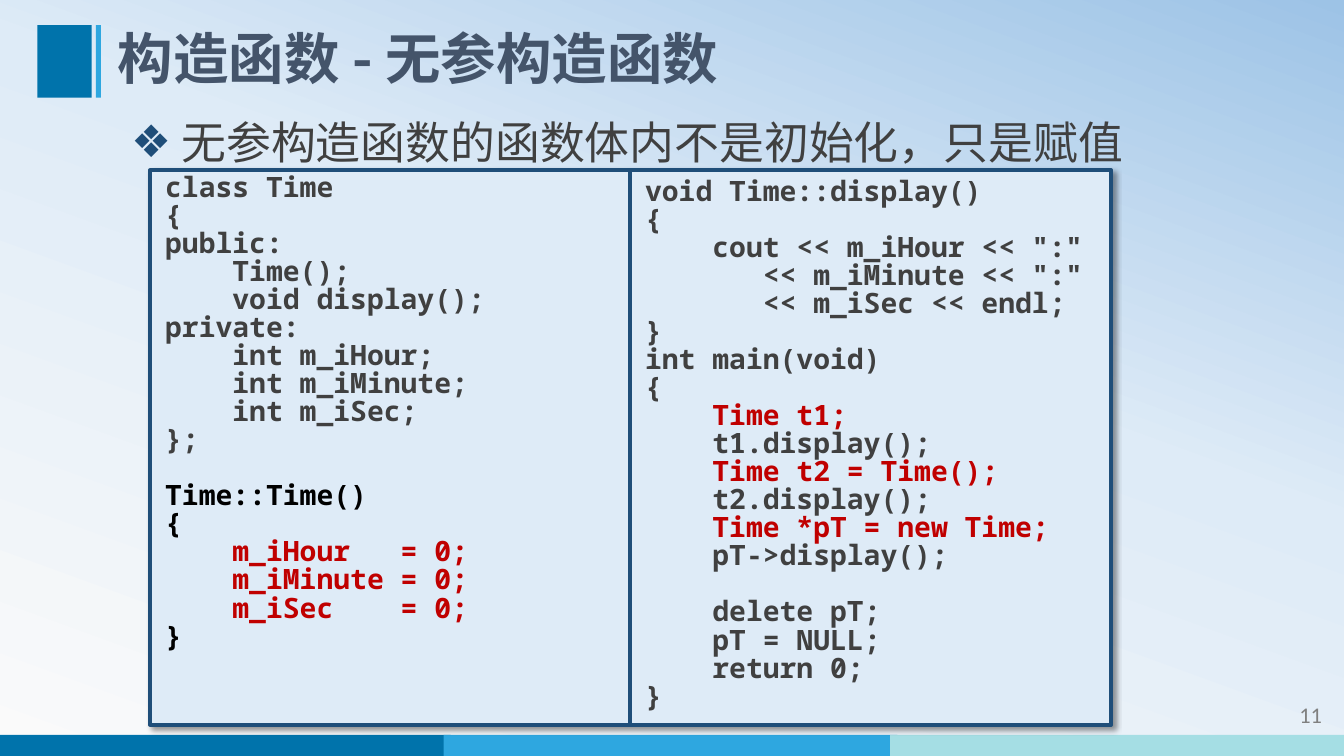
from lxml import etree
from pptx import Presentation
from pptx.dml.color import RGBColor
from pptx.enum.shapes import MSO_CONNECTOR, MSO_SHAPE
from pptx.enum.text import MSO_ANCHOR, MSO_AUTO_SIZE, PP_ALIGN
from pptx.oxml import parse_xml
from pptx.oxml.ns import qn
from pptx.util import Inches, Pt

RECTANGLE = MSO_SHAPE.RECTANGLE
STRAIGHT = MSO_CONNECTOR.STRAIGHT
MIDDLE, TOP = MSO_ANCHOR.MIDDLE, MSO_ANCHOR.TOP
LEFT, RIGHT = PP_ALIGN.LEFT, PP_ALIGN.RIGHT
FIXED, GROW = MSO_AUTO_SIZE.NONE, MSO_AUTO_SIZE.SHAPE_TO_FIT_TEXT

A_NS = 'xmlns:a="http://schemas.openxmlformats.org/drawingml/2006/main"'
CJK, MONO = "Noto Sans CJK SC", "Noto Sans Mono"
NAVY, GREY, RED, BLACK = "1F4E79", "404040", "C00000", "000000"
DEEP_BLUE, BRIGHT_BLUE, AQUA = "0073AB", "2EA7E0", "A5DEE4"


def set_font(paragraph, name, size, color, bold=False):
    font = paragraph.font
    font.name, font.size, font.bold = name, Pt(size), bold
    font.color.rgb = RGBColor.from_string(color)
    east_asian = etree.SubElement(paragraph._p.pPr.find(qn("a:defRPr")), qn("a:ea"))
    east_asian.set("typeface", name)


def add_block(left, top, width, height, color):
    block = slide.shapes.add_shape(
        RECTANGLE, Inches(left), Inches(top), Inches(width), Inches(height))
    block.shadow.inherit = False
    block.fill.solid()
    block.fill.fore_color.rgb = RGBColor.from_string(color)
    block.line.fill.background()
    return block


prs = Presentation()
prs.slide_width, prs.slide_height = Inches(13.33), Inches(7.5)
slide = prs.slides.add_slide(prs.slide_layouts[1])

# Background gradient, rising from bottom left to top right
background = slide.background.fill
background.gradient()
background.gradient_angle = 70
stops = slide._element.cSld.bg.bgPr.find(qn("a:gradFill")).find(qn("a:gsLst"))
for stop in list(stops):
    stops.remove(stop)
for percent, color in ((0, "FAFAFA"), (58, "DEEBF7"), (100, "9DC3E6")):
    stops.append(parse_xml(
        f'<a:gs {A_NS} pos="{percent * 1000}"><a:srgbClr val="{color}"/></a:gs>'))

# Footer bands and title marker
for left, color in ((-0.03, DEEP_BLUE), (4.4, BRIGHT_BLUE), (8.83, AQUA)):
    add_block(left, 7.29, 4.5, 0.21, color)
add_block(0.37, 0.25, 0.54, 0.72, DEEP_BLUE)
add_block(0.95, 0.25, 0.05, 0.72, BRIGHT_BLUE)

# Page number
page_number = slide.shapes.add_textbox(
    Inches(11.62), Inches(6.91), Inches(1.59), Inches(0.4)).text_frame
page_number.word_wrap = True
page_number.text = "11"
page_number.paragraphs[0].alignment = RIGHT
set_font(page_number.paragraphs[0], "Calibri", 16, "808080")

# Title
title = slide.shapes.title
title.left, title.top = Inches(1.07), Inches(0.25)
title.width, title.height = Inches(10.86), Inches(0.72)
title.text_frame.text = "构造函数 - 无参构造函数"
title.text_frame.auto_size = FIXED
title.text_frame.vertical_anchor = MIDDLE
heading = title.text_frame.paragraphs[0]
heading.alignment = LEFT
heading.line_spacing = 0.9
set_font(heading, CJK, 39.6, "44546A", bold=True)

# Key point
key_point = slide.placeholders[1]
key_point.left, key_point.top = Inches(1.2), Inches(0.82)
key_point.width, key_point.height = Inches(11.89), Inches(0.91)
key_point.text_frame.text = "无参构造函数的函数体内不是初始化，只是赋值"
key_point.text_frame.auto_size = FIXED
key_point.text_frame.vertical_anchor = TOP
statement = key_point.text_frame.paragraphs[0]
statement.line_spacing = 1.5
statement.space_before = Pt(0)
indents = statement._p.get_or_add_pPr()
indents.set("marL", str(Inches(0.5)))
indents.set("indent", str(Inches(-0.5)))
for bullet_part in (
        f'<a:buClr {A_NS}><a:srgbClr val="{NAVY}"/></a:buClr>',
        f'<a:buChar {A_NS} char="❖"/>'):
    indents.append(parse_xml(bullet_part))
set_font(statement, CJK, 32, GREY)

# Code panel with a soft shadow
panel = add_block(1.49, 1.69, 9.53, 5.5, "DEEBF7")
panel.line.color.rgb = RGBColor.from_string(NAVY)
panel.line.width = Pt(3)
panel_effects = panel._element.spPr.find(qn("a:effectLst"))
panel_effects.append(parse_xml(
    f'<a:outerShdw {A_NS} blurRad="{Pt(4)}" dist="{Pt(3)}" dir="2700000" algn="tl" '
    f'rotWithShape="0"><a:srgbClr val="{BLACK}"><a:alpha val="40000"/></a:srgbClr>'
    '</a:outerShdw>'))

# Code columns; the colours of special lines go by line index
class_code = """class Time
{
public:
    Time();
    void display();
private:
    int m_iHour;
    int m_iMinute;
    int m_iSec;
};

Time::Time()
{
    m_iHour   = 0;
    m_iMinute = 0;
    m_iSec    = 0;
}"""
main_code = """void Time::display()
{
    cout << m_iHour << ":"
       << m_iMinute << ":"
       << m_iSec << endl;
}
int main(void)
{
    Time t1;
    t1.display();
    Time t2 = Time();
    t2.display();
    Time *pT = new Time;
    pT->display();

    delete pT;
    pT = NULL;
    return 0;
}"""
class_colors = {11: BLACK, 12: BLACK, 13: RED, 14: RED, 15: RED, 16: BLACK}
main_colors = {8: RED, 10: RED, 12: RED}
for code, line_colors, left, top, width, height in (
        (class_code, class_colors, 1.54, 1.69, 4.73, 5.15),
        (main_code, main_colors, 6.3, 1.73, 4.76, 5.43)):
    column = slide.shapes.add_textbox(
        Inches(left), Inches(top), Inches(width), Inches(height)).text_frame
    column.word_wrap = True
    column.auto_size = GROW
    column.text = code
    for index, code_line in enumerate(column.paragraphs):
        code_line.line_spacing = Pt(20)
        set_font(code_line, MONO, 20, line_colors.get(index, GREY), bold=True)

# Divider between the columns
divider = slide.shapes.add_connector(
    STRAIGHT, Inches(6.25), Inches(1.69), Inches(6.25), Inches(7.19))
divider.line.color.rgb = RGBColor.from_string(NAVY)
divider.line.width = Pt(3)
etree.SubElement(divider._element.spPr, qn("a:effectLst"))

prs.save("out.pptx")
